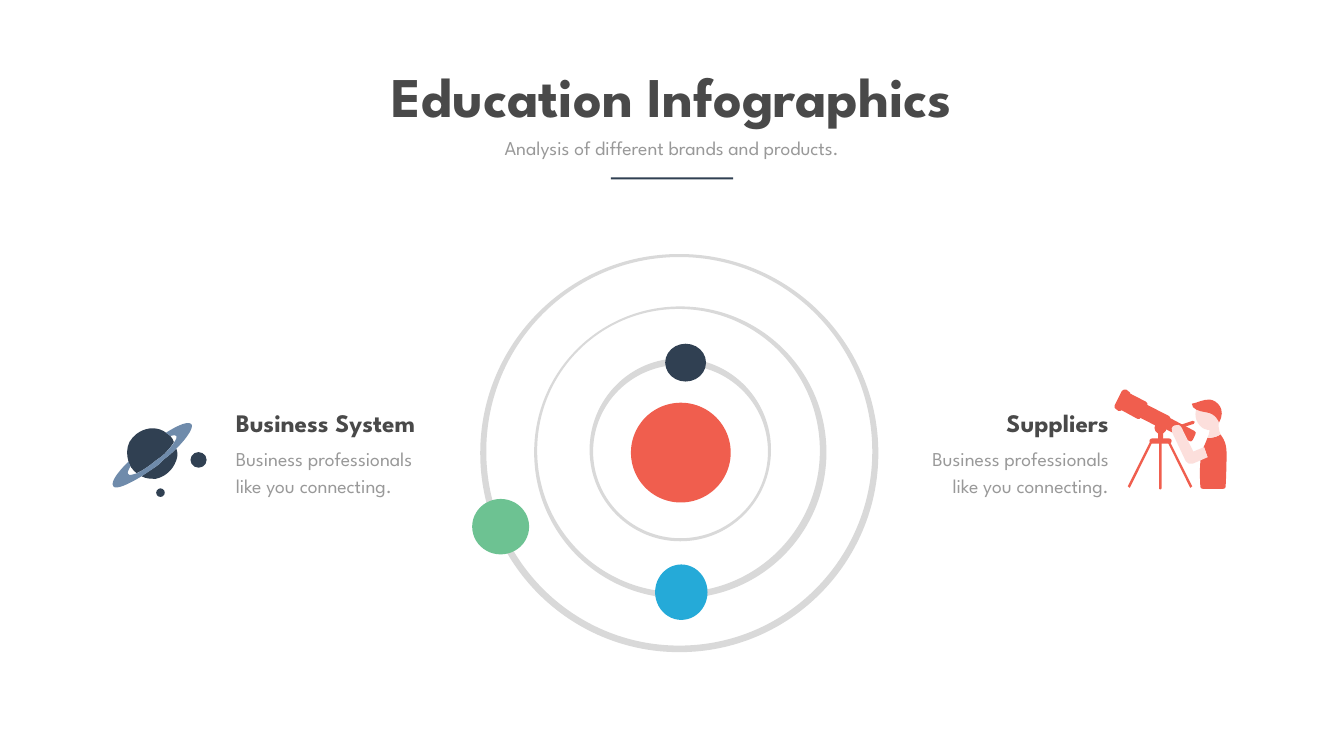
from pptx import Presentation
from pptx.dml.color import RGBColor
from pptx.enum.shapes import MSO_SHAPE
from pptx.enum.text import MSO_AUTO_SIZE, PP_ALIGN
from pptx.oxml.xmlchemy import OxmlElement
from pptx.util import Inches, Pt

OVAL, BAR, CAPSULE = MSO_SHAPE.OVAL, MSO_SHAPE.RECTANGLE, MSO_SHAPE.ROUNDED_RECTANGLE
LEFT, CENTER, RIGHT = PP_ALIGN.LEFT, PP_ALIGN.CENTER, PP_ALIGN.RIGHT
GROW = MSO_AUTO_SIZE.SHAPE_TO_FIT_TEXT

# The slide is a grid of 26.67 columns by 15 rows; icons use hundredths of a cell
COLUMNS, ROWS = 26.67, 15
CELL = Inches(1)
FONT = "League Spartan"
COLORS = {
    "heading": "494949", "body": "999999", "navy": "304052", "steel": "6F8BAB",
    "orbit": "D9D9D9", "coral": "F05E4E", "skin": "FCDFDC",
    "blue": "25AAD8", "green": "6DC292",
}

# Outer and inner edge of each orbit: left, top, right, bottom
ORBITS = [
    ((11.7, 7.11, 15.3, 10.74), (11.77, 7.24, 15.24, 10.68)),
    ((10.6, 6.08, 16.4, 11.87), (10.66, 6.13, 16.27, 11.75)),
    ((9.53, 5.04, 17.43, 12.94), (9.65, 5.1, 17.31, 12.81)),
]
PLANETS = [
    ("navy", 13.2, 6.82, 0.81, 0.75),
    ("blue", 13, 11.2, 1.04, 1.1),
    ("green", 9.37, 9.9, 1.13, 1.1),
]

# Icon outlines: a start point, then lines (x, y) and curves (two handles, end)
SATURN_ORIGIN = (2, 8)
SATURN = [
    ("navy", [(150, 90), (144, 96, 136, 104, 127, 110), (124, 113, 119, 117, 116, 121),
              (104, 130, 92, 137, 81, 145), (90, 150, 99, 150, 109, 150),
              (124, 147, 138, 137, 146, 122), (152, 111, 154, 101, 150, 90)]),
    ("navy", [(127, 100), (135, 91, 142, 83, 145, 77), (144, 72, 141, 69, 138, 65),
              (134, 62, 130, 58, 124, 55), (107, 46, 87, 49, 71, 61),
              (65, 65, 61, 71, 57, 77), (51, 89, 51, 103, 55, 116),
              (57, 124, 62, 131, 71, 139), (82, 134, 96, 125, 110, 113),
              (116, 110, 121, 105, 127, 100)]),
    ("steel", [(180, 42), (175, 35, 155, 42, 129, 59), (132, 60, 135, 63, 138, 65),
               (144, 63, 149, 63, 150, 65), (152, 66, 150, 71, 146, 77),
               (143, 83, 135, 91, 127, 100), (121, 105, 116, 110, 110, 113),
               (96, 125, 82, 134, 72, 139), (62, 142, 56, 144, 55, 141),
               (51, 139, 55, 133, 59, 125), (57, 122, 56, 119, 55, 116),
               (31, 139, 19, 158, 25, 165), (30, 172, 53, 162, 81, 145),
               (92, 138, 104, 130, 116, 121), (119, 117, 124, 113, 127, 110),
               (136, 104, 144, 96, 150, 90), (174, 66, 184, 48, 180, 42)]),
]
MOONS = [(3.78, 8.97, 0.32, 0.31), (3.1, 9.69, 0.17, 0.17)]

OBSERVER_ORIGIN = (22, 7)
TELESCOPE = [
    # Eyepiece
    [(141, 147), (141, 148, 143, 149, 144, 149), (169, 141), (171, 140, 171, 139, 171, 137),
     (170, 136, 169, 135, 167, 135), (143, 143), (141, 144, 140, 145, 141, 147)],
    # Tube sections, each with its near and far half
    [(121, 129), (170, 155), (173, 156, 174, 159, 172, 162), (167, 173),
     (165, 176, 162, 177, 160, 175), (110, 150), (108, 149, 107, 145, 108, 143),
     (114, 132), (115, 129, 118, 128, 121, 129)],
    [(74, 102), (119, 125), (122, 126, 123, 129, 122, 132), (113, 149),
     (111, 152, 108, 153, 106, 151), (61, 128), (58, 127, 57, 124, 59, 121),
     (67, 104), (69, 101, 72, 100, 74, 102)],
    [(41, 80), (74, 97), (77, 99, 78, 102, 77, 105), (64, 128),
     (63, 131, 60, 132, 57, 131), (24, 113), (21, 112, 20, 109, 22, 106),
     (34, 82), (35, 80, 39, 79, 41, 80)],
    # Lens hood
    [(19, 115), (15, 112), (12, 111, 10, 107, 12, 104), (26, 76), (28, 73, 32, 72, 35, 73),
     (39, 76), (43, 77, 44, 81, 42, 84), (28, 112), (26, 115, 22, 116, 19, 115)],
]
MOUNT_HUB = (22.91, 8.37, 0.24, 0.24)
MOUNT_BARS = [(22.98, 8.42, 0.1, 0.32), (22.81, 8.7, 0.44, 0.1), (23, 8.72, 0.05, 0.99)]
TRIPOD_LEG = [(162, 268), (166, 265), (120, 173), (116, 175)]
TRIPOD_AXIS = 102
PERSON = [
    # Face, cap, torso, neck, arm, sleeve
    ("skin", [(219, 117), (224, 132, 219, 148, 206, 152), (194, 157, 180, 148, 174, 133),
              (169, 118, 175, 102, 187, 97), (199, 93, 213, 102, 219, 117)]),
    ("coral", [(219, 138), (219, 138, 213, 120, 193, 118), (180, 116, 165, 112, 165, 101),
               (175, 100, 189, 91, 202, 93), (215, 95, 234, 112, 219, 138)]),
    ("coral", [(224, 165), (223, 164, 223, 163, 222, 162), (215, 167, 205, 169, 196, 169),
               (195, 172, 190, 184, 188, 188), (179, 206, 181, 251, 182, 266),
               (182, 268, 184, 270, 187, 270), (227, 270), (230, 270, 232, 268, 232, 266),
               (233, 252, 234, 218, 234, 201), (234, 181, 229, 172, 224, 165)]),
    ("skin", [(218, 139), (199, 144), (201, 151, 201, 159, 196, 169),
              (205, 169, 215, 167, 222, 162), (218, 154, 218, 139, 218, 139)]),
    ("skin", [(168, 196), (145, 149), (142, 143, 136, 141, 131, 144),
              (125, 146, 123, 153, 126, 158), (153, 215), (156, 220, 162, 222, 167, 220),
              (197, 207), (190, 187)]),
    ("coral", [(226, 183), (224, 178, 218, 175, 212, 177), (190, 187), (197, 207),
               (221, 197), (226, 195, 229, 188, 226, 183)]),
]


def cells(*lengths):
    return [round(length * CELL) for length in lengths]


def paint(shape, color):
    shape.shadow.inherit = False
    shape.fill.solid()
    shape.fill.fore_color.rgb = RGBColor.from_string(COLORS[color])
    shape.line.fill.background()
    return shape


def add_preset(slide, kind, color, box):
    shape = paint(slide.shapes.add_shape(kind, *cells(*box)), color)
    if kind == CAPSULE:
        shape.adjustments[0] = 0.5
    return shape


def bend(line, handles_and_end, left, top):
    """Swap a straight segment for a cubic curve."""
    curve = OxmlElement("a:cubicBezTo")
    for x, y in zip(handles_and_end[::2], handles_and_end[1::2]):
        point = OxmlElement("a:pt")
        point.set("x", str(x - left))
        point.set("y", str(y - top))
        curve.append(point)
    line.getparent().replace(line, curve)


def add_outline(slide, color, *contours):
    """Fill the area bounded by closed contours of lines and curves."""
    builder, segments = None, []
    for contour in contours:
        start, *rest = [cells(*segment) for segment in contour]
        if builder is None:
            builder = slide.shapes.build_freeform(*start)
        else:
            builder.move_to(*start)
        builder.add_line_segments([segment[-2:] for segment in rest], close=True)
        segments += rest
    shape = builder.convert_to_shape()
    for line, segment in zip(shape.element.xpath(".//a:lnTo"), segments):
        if len(segment) == 6:
            bend(line, segment, shape.left, shape.top)
    return paint(shape, color)


def ellipse(left, top, right, bottom):
    x, y = (left + right) / 2, (top + bottom) / 2
    dx, dy = 0.5523 * (right - left) / 2, 0.5523 * (bottom - top) / 2
    return [(x, bottom), (x - dx, bottom, left, y + dy, left, y),
            (left, y - dy, x - dx, top, x, top),
            (x + dx, top, right, y - dy, right, y),
            (right, y + dy, x + dx, bottom, x, bottom)]


def place(outline, origin):
    """Move an icon outline onto the slide grid."""
    return [[origin[i % 2] + value / 100 for i, value in enumerate(segment)]
            for segment in outline]


def add_text(slide, box, text, size, color, align, bold=False, wrap=True, spacing=None):
    text_box = slide.shapes.add_textbox(*cells(*box))
    frame = text_box.text_frame
    frame.word_wrap, frame.auto_size = wrap, GROW
    paragraph = frame.paragraphs[0]
    paragraph.alignment, paragraph.line_spacing = align, spacing
    run = paragraph.add_run()
    run.text = text
    run.font.name, run.font.size, run.font.bold = FONT, Pt(size), bold
    run.font.color.rgb = RGBColor.from_string(COLORS[color])
    return text_box


def add_caption(slide, edge, heading, body, align):
    """Heading over body, both flush with the given edge."""
    body_width, heading_width = 4.22, 4.89
    shift = 1 if align == RIGHT else 0
    slide.shapes.add_group_shape([
        add_text(slide, (edge - shift * body_width, 8.74, body_width, 1.15),
                 body, 28, "body", align, spacing=Pt(38.6)),
        add_text(slide, (edge - shift * heading_width, 8.03, heading_width, 0.71),
                 heading, 36, "heading", align, bold=True)])


def add_solar_system(slide):
    sun = add_preset(slide, OVAL, "coral", (12.52, 7.99, 1.98, 1.98))
    orbits = [add_outline(slide, "orbit", ellipse(*outer), ellipse(*inner))
              for outer, inner in ORBITS]
    planets = [add_preset(slide, OVAL, color, box) for color, *box in PLANETS]
    slide.shapes.add_group_shape([sun, *orbits, *planets])


def add_saturn(slide):
    parts = [add_outline(slide, color, place(part, SATURN_ORIGIN)) for color, part in SATURN]
    parts += [add_preset(slide, OVAL, "navy", moon) for moon in MOONS]
    slide.shapes.add_group_shape(parts)


def add_observer(slide):
    other_leg = [(2 * TRIPOD_AXIS - x, y) for x, y in TRIPOD_LEG]
    instrument = [("coral", part) for part in (*TELESCOPE, TRIPOD_LEG, other_leg)]
    parts = [add_preset(slide, CAPSULE, "coral", bar) for bar in MOUNT_BARS]
    parts.append(add_preset(slide, OVAL, "coral", MOUNT_HUB))
    parts += [add_outline(slide, color, place(part, OBSERVER_ORIGIN))
              for color, part in instrument + PERSON]
    slide.shapes.add_group_shape(parts)


def main():
    deck = Presentation()
    deck.slide_width, deck.slide_height = cells(COLUMNS, ROWS)
    slide = deck.slides.add_slide(deck.slide_layouts[6])
    add_solar_system(slide)
    # Title, subtitle and rule
    add_text(slide, (6.97, 1.17, 12.73, 1.45), "Education Infographics", 80, "heading",
             CENTER, bold=True, wrap=False)
    add_text(slide, (8.55, 2.65, 9.56, 0.57), "Analysis of different brands and products.",
             28, "body", CENTER)
    add_preset(slide, BAR, "navy", (12.12, 3.52, 2.43, 0.04))
    # Captions and their icons
    body = "Business professionals like you connecting."
    add_caption(slide, 4.58, "Business System", body, LEFT)
    add_caption(slide, 22.1, "Suppliers", body, RIGHT)
    add_saturn(slide)
    add_observer(slide)
    deck.save("out.pptx")


if __name__ == "__main__":
    main()
